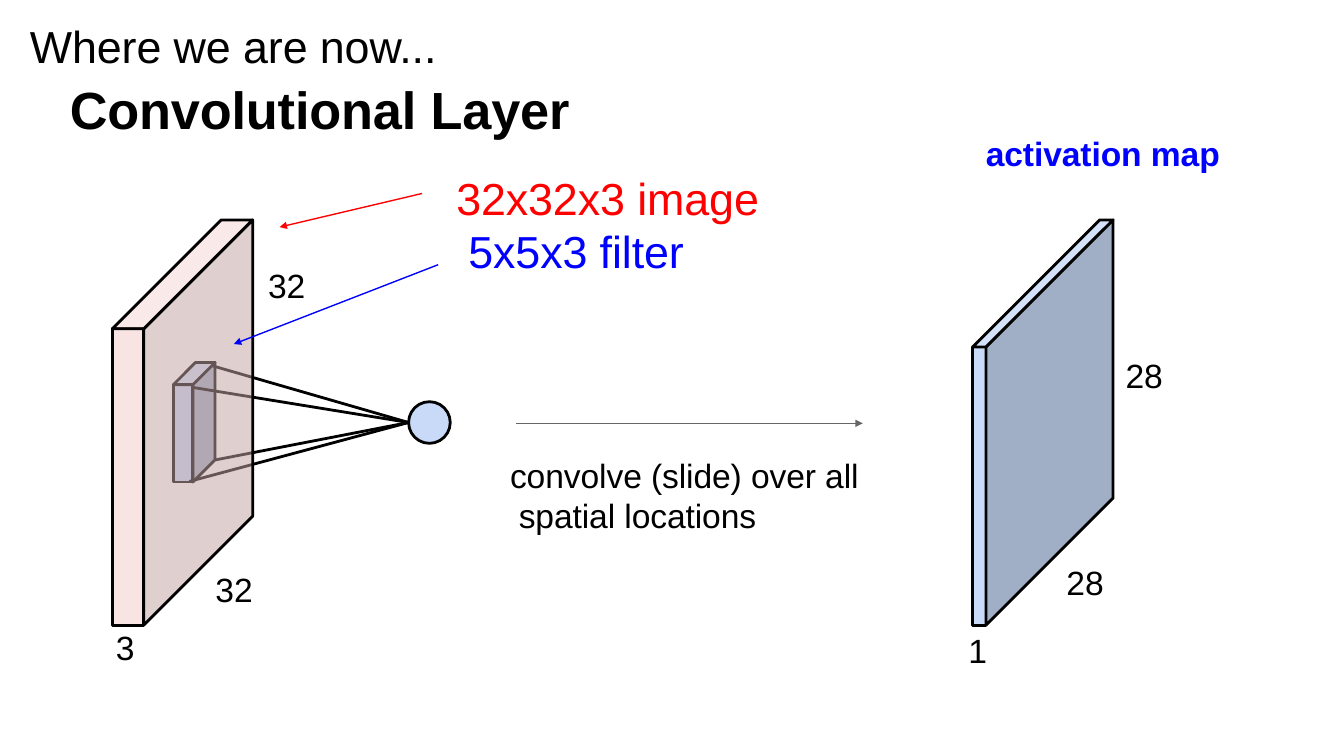
from lxml import etree
from pptx import Presentation
from pptx.dml.color import RGBColor
from pptx.enum.shapes import MSO_CONNECTOR, MSO_SHAPE
from pptx.oxml.ns import qn
from pptx.util import Inches, Pt

LINE, OVAL = MSO_CONNECTOR.STRAIGHT, MSO_SHAPE.OVAL
COLS, ROWS = 100, 56.25  # square grid cells, a tenth of an inch each
CELL = Inches(0.1)
BLACK, RED, BLUE, GRAY = "000000", "FF0000", "0000FF", "666666"
BLUES = ("C8DAF7", "A0AEC6", "D3E1F9")  # front, side, top
PINKS = ("F4CCCC", "C3A3A3", "F6D6D6")


def color(code):
    return RGBColor.from_string(code)


def grid(*cells):
    return [round(c * CELL) for c in cells]


def paint(shape, fill, alpha=100):
    """Fill a shape and give it the black outline."""
    shape.shadow.inherit = False
    shape.fill.solid()
    shape.fill.fore_color.rgb = color(fill)
    if alpha < 100:
        tint = shape.fill._xPr.find(qn("a:solidFill"))[0]
        etree.SubElement(tint, qn("a:alpha"), val=str(alpha * 1000))
    shape.line.color.rgb = color(BLACK)
    shape.line.width = Pt(1.5)


def face(slide, dots, fill, alpha):
    dots = [grid(*dot) for dot in dots]
    build = slide.shapes.build_freeform(*dots[0], scale=1.0)
    build.add_line_segments(dots[1:], close=True)
    paint(build.convert_to_shape(), fill, alpha)


def slab(slide, box, thick, fills, alpha=100):
    """Fill a box with an upright slab whose depth recedes at 45 degrees."""
    x, y, w, h = box
    edge, right, low = x + thick, x + w, y + h
    skew = w - thick
    top = y + skew
    faces = (
        [(x, top), (edge, top), (edge, low), (x, low)],
        [(edge, low), (edge, top), (right, y), (right, low - skew)],
        [(edge, top), (x, top), (x + skew, y), (right, y)],
    )
    for dots, fill in zip(faces, fills):
        face(slide, dots, fill, alpha)


def link(slide, start, end, tone=BLACK, width=1.5, head=False):
    line = slide.shapes.add_connector(LINE, *grid(*start, *end))
    line.line.color.rgb = color(tone)
    line.line.width = Pt(width)
    props = line._element.spPr
    if head:
        etree.SubElement(props.find(qn("a:ln")), qn("a:tailEnd"),
                         type="triangle", w="sm", len="sm")
    etree.SubElement(props, qn("a:effectLst"))


def text(slide, box, *lines, inset=0.1):
    """Each line: words, font values, indent in cells, paragraph values."""
    frame = slide.shapes.add_textbox(*grid(*box)).text_frame
    frame.word_wrap = True
    frame.margin_left = frame.margin_right = frame.margin_bottom = 0
    frame.margin_top = round(inset * CELL)
    for i, (words, look, indent, gaps) in enumerate(lines):
        para = frame.add_paragraph() if i else frame.paragraphs[0]
        para._p.get_or_add_pPr().set("marL", str(round(indent * CELL)))
        for name, value in gaps.items():
            setattr(para, name, value)
        run = para.add_run()
        run.text = words
        values = {"name": "Arial", "size": Pt(18), **look}
        tone = values.pop("tone", BLACK)
        for name, value in values.items():
            setattr(run.font, name, value)
        run.font.color.rgb = color(tone)
        run._r.get_or_add_rPr().set("spc", "-5")


def label(slide, x, y, words, w=3.1, **look):
    text(slide, (x, y, w, 3.3),
         (words, look, 0.13, {"space_before": Pt(1)}))


def title(slide, box):
    text(slide, box,
         ("Where we are now...", {"size": Pt(24)}, 0.13,
          {"space_before": Pt(3.5)}),
         ("Convolutional Layer", {"size": Pt(28), "bold": True}, 3.1,
          {"space_before": Pt(3)}), inset=0.5)


def source(slide, box):
    """Filter, neuron and its rays, under the translucent image slab."""
    x, y, w, h = box
    slab(slide, (x + 4.55, y + 10.6, 3.1, 8.9), 1.45, BLUES)
    hub = (x + 22.05, y + 15.07)
    neuron = slide.shapes.add_shape(
        OVAL, *grid(hub[0], hub[1] - 1.55, 3.1, 3.1))
    paint(neuron, BLUES[0])
    for dx, dy in ((5.75, 19.45), (5.95, 12.45), (7.45, 10.85), (7.7, 17.85)):
        link(slide, (x + dx, y + dy), hub)
    label(slide, x + 7.55, y + 25.87, "32")
    label(slide, x + 0.15, y + h + 0.05, "3", w=1.7)
    slab(slide, box, 2.35, PINKS, alpha=52)


def callouts(slide, box):
    """Names of the image and filter, with the arrows to them."""
    x, y, w, h = box
    tall = {"line_spacing": Pt(28.5)}
    big = {"size": Pt(24)}
    text(slide, box,
         ("32x32x3 image", {**big, "tone": RED}, 14.15,
          {**tall, "space_before": Pt(2.2)}),
         ("5x5x3 filter", {**big, "tone": BLUE}, 15.05, tall),
         ("32", {}, 0.15, {"line_spacing": Pt(14.8)}), inset=0.33)
    for start, end, tone in (((11.6, 2), (1, 4.5), RED),
                             ((12.8, 7.3), (-2.4, 13.2), BLUE)):
        link(slide, (x + start[0], y + start[1]),
             (x + end[0], y + end[1]), tone, 0.75, True)


def slide_step(slide, box):
    """Arrow along the top of the box and its caption below."""
    x, y, w, h = box
    link(slide, (x + 0.6, y), (x + w, y), GRAY, 0.75, True)
    text(slide, (x, y + 2.2, w + 0.5, h - 2.2),
         ("convolve (slide) over all", {}, 0.15,
          {"space_before": Pt(0.8), "line_spacing": 1.01}),
         ("spatial locations", {}, 0.8, {"line_spacing": 1.01}))


def result(slide, box):
    """Activation map slab with its labels."""
    x, y, w, h = box
    slab(slide, box, 1, BLUES)
    label(slide, x + 0.85, y - 6.57, "activation map", w=18.5,
          bold=True, tone=BLUE)
    label(slide, x - 0.45, y + h + 0.27, "1", w=1.7)
    label(slide, x + 6.85, y + 25.37, "28")
    label(slide, x + w + 0.8, y + 9.97, "28")


def main():
    deck = Presentation()
    deck.slide_width, deck.slide_height = grid(COLS, ROWS)
    slide = deck.slides.add_slide(deck.slide_layouts[6])
    title(slide, (2.1, 0.87, 45, 9.7))
    source(slide, (8.35, 16.37, 10.45, 30.15))
    callouts(slide, (19.8, 12.4, 36.9, 10.4))
    slide_step(slide, (37.8, 31.5, 26.4, 8.5))
    result(slide, (72.37, 16.37, 10.45, 30.15))
    deck.save("out.pptx")


if __name__ == "__main__":
    main()
